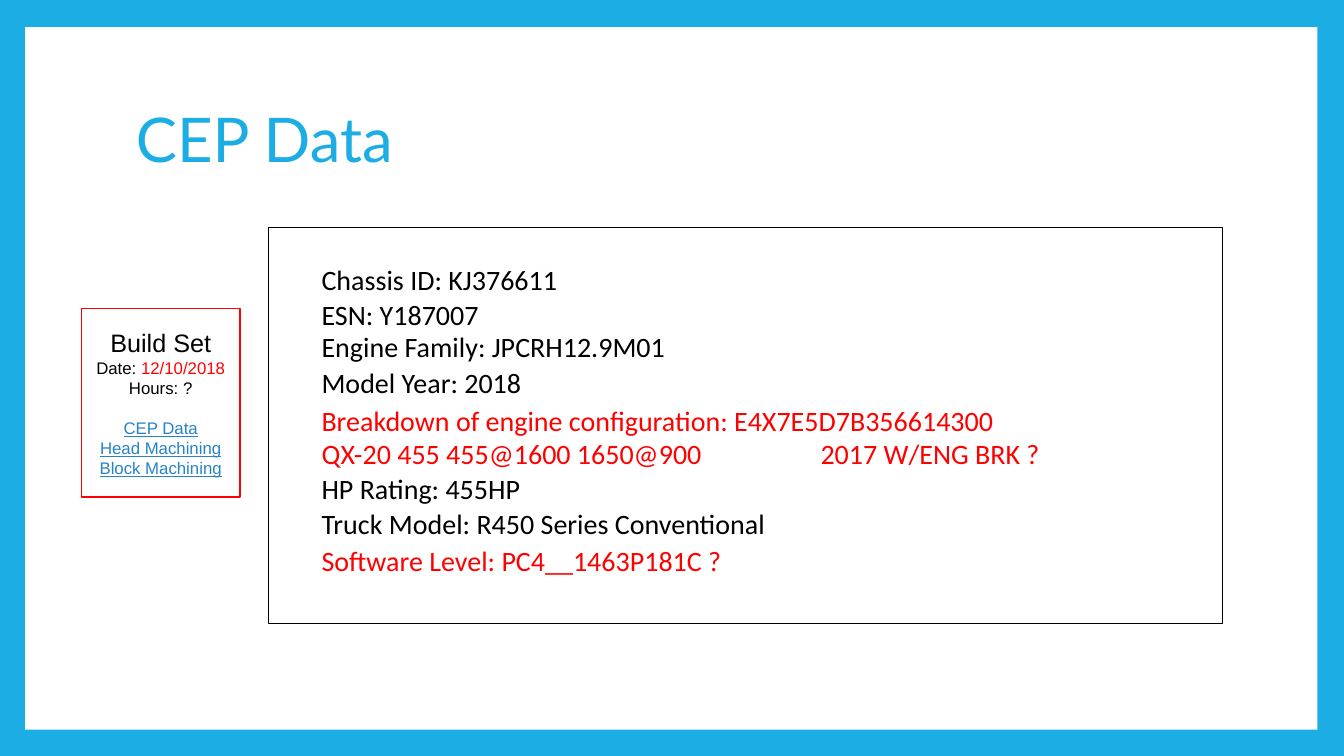
"""Build the CEP Data slide with its build-set card and engine details."""
from lxml import etree
from pptx import Presentation
from pptx.dml.color import RGBColor
from pptx.enum.shapes import MSO_SHAPE
from pptx.enum.text import MSO_ANCHOR, PP_ALIGN
from pptx.oxml.ns import qn
from pptx.util import Inches, Pt

RECTANGLE = MSO_SHAPE.RECTANGLE
MIDDLE, TOP = MSO_ANCHOR.MIDDLE, MSO_ANCHOR.TOP
CENTER, LEFT = PP_ALIGN.CENTER, PP_ALIGN.LEFT
SKY = RGBColor(0x1C, 0xAD, 0xE4)
LINK_BLUE = RGBColor(0x26, 0x83, 0xC6)
RED = RGBColor(0xFF, 0, 0)
BLACK = RGBColor(0, 0, 0)
WHITE = RGBColor(0xFF, 0xFF, 0xFF)
CELL = 0.1
COLUMNS, ROWS = 133.33, 75


def grid(*cells):
    """Turn grid cells into lengths."""
    return [Inches(cell * CELL) for cell in cells]


def write(para, text, font="Calibri", size=20, color=BLACK, underline=None):
    """Add one formatted span to a paragraph."""
    span = para.add_run()
    span.text = text
    span.font.name = font
    span.font.size = Pt(size)
    span.font.color.rgb = color
    span.font.underline = underline


class Page:
    """Hold the deck style and the current slide."""

    def __init__(self, deck, background):
        """Add a blank slide with a plain background."""
        self.slide = deck.slides.add_slide(deck.slide_layouts[6])
        fill = self.slide.background.fill
        fill.solid()
        fill.fore_color.rgb = background

    def panel(self, area, line=None, width=1):
        """Add a white rectangle with an optional outline."""
        box = self.slide.shapes.add_shape(RECTANGLE, *grid(*area))
        box.shadow.inherit = False
        box.fill.solid()
        box.fill.fore_color.rgb = WHITE
        if line is None:
            box.line.fill.background()
        else:
            box.line.color.rgb = line
            box.line.width = Pt(width)
        return box

    def text(self, area, lines, anchor=TOP, inset=0, spacing=None, tab=None, **style):
        """Add a text box with one paragraph per line."""
        frame = self.slide.shapes.add_textbox(*grid(*area)).text_frame
        frame.margin_left = frame.margin_right = Inches(inset)
        frame.margin_top = frame.margin_bottom = Inches(inset / 2)
        self.fill_frame(frame, [[(line, style)] for line in lines], anchor)
        for para in frame.paragraphs:
            para.line_spacing = spacing
            if tab is not None:
                stops = etree.SubElement(para._p.get_or_add_pPr(), qn("a:tabLst"))
                etree.SubElement(stops, qn("a:tab"), pos=str(grid(tab)[0]), algn="l")

    def fill_frame(self, frame, lines, anchor, align=LEFT):
        """Write lines of (text, style) spans into a text frame."""
        frame.word_wrap = True
        frame.vertical_anchor = anchor
        for index, spans in enumerate(lines):
            para = frame.paragraphs[0] if index == 0 else frame.add_paragraph()
            para.alignment = align
            for text, style in spans:
                write(para, text, **style)


deck = Presentation()
deck.slide_width, deck.slide_height = grid(COLUMNS, ROWS)
page = Page(deck, SKY)
page.panel((2.5, 2.7, 128.2, 69.7))
page.text((12.5, 6.7, 108, 14.8), ["CEP Data"], anchor=MIDDLE, inset=0.1,
          spacing=0.9, font="Lato", size=44, color=SKY)

heading = {"font": "Arial", "size": 18}
label = {"font": "Arial", "size": 12}
date = {**label, "color": RED}
link = {**label, "color": LINK_BLUE, "underline": True}
facts = [[("Build Set", heading)], [("Date: ", label), ("12/10/2018", date)],
         [("Hours: ?", label)]]
sections = [[(name, link)] for name in ("CEP Data", "Head Machining", "Block Machining")]
card = page.panel((8.1, 30.6, 15.7, 18.7), RED).text_frame
page.fill_frame(card, facts + sections, MIDDLE, CENTER)
card.paragraphs[len(facts)].space_before = Pt(14)

page.panel((26.6, 22.6, 94.7, 39.3), BLACK, 0.75)
details = [
    (26, BLACK, ["Chassis ID: KJ376611"]),
    (29.5, BLACK, ["ESN: Y187007"]),
    (32.7, BLACK, ["Engine Family: JPCRH12.9M01"]),
    (36.3, BLACK, ["Model Year: 2018"]),
    (40, RED, ["Breakdown of engine configuration: E4X7E5D7B356614300",
               "QX-20 455 455@1600 1650@900\t2017 W/ENG BRK ?"]),
    (46.8, BLACK, ["HP Rating: 455HP"]),
    (50.3, BLACK, ["Truck Model: R450 Series Conventional"]),
    (53.9, RED, ["Software Level: PC4__1463P181C ?"]),
]
for top, color, lines in details:
    page.text((31.9, top, 82.4, 3.4 * len(lines)), lines, tab=49.5, color=color)

deck.save("out.pptx")
